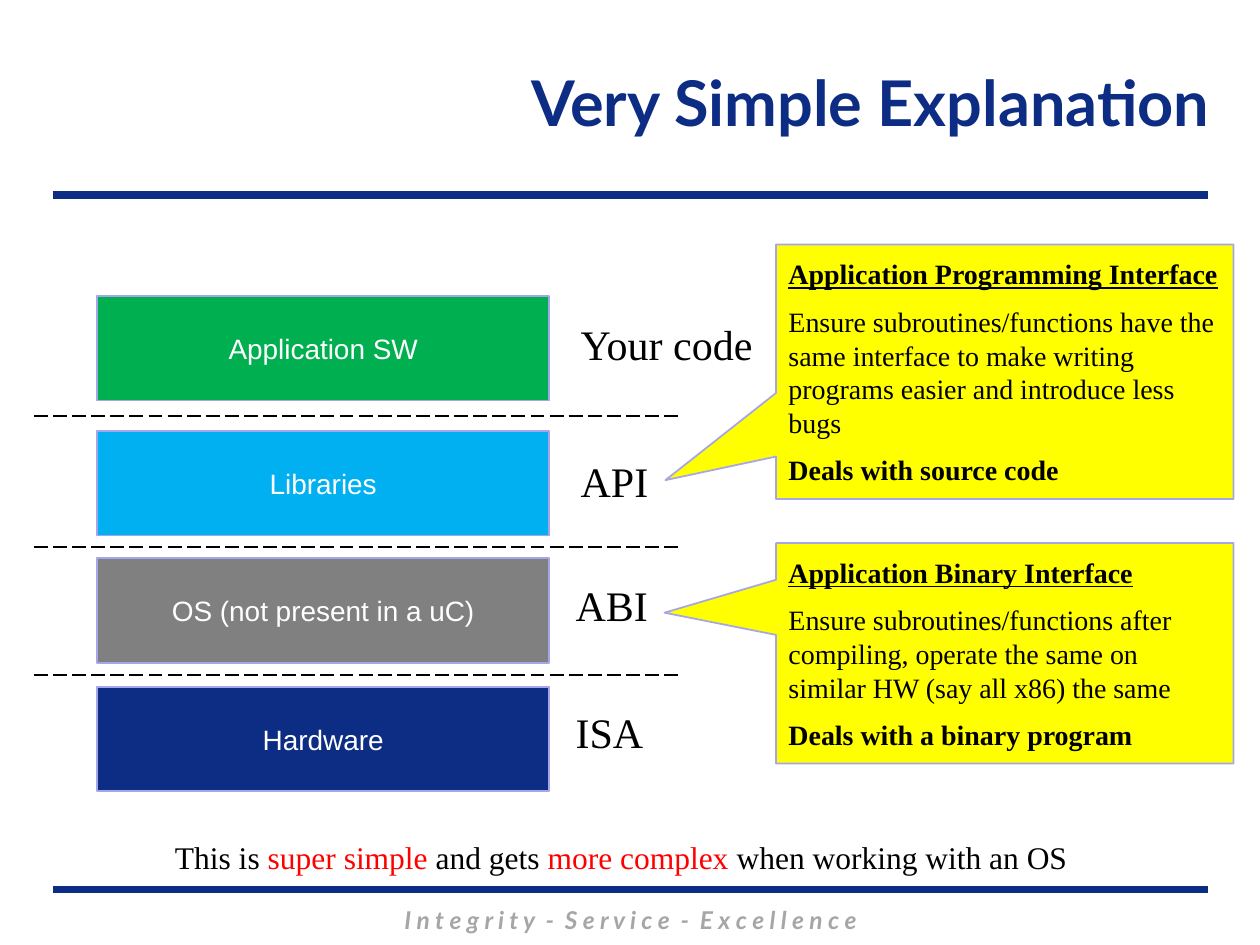
import dataclasses
import itertools

import pptx
import pptx.dml.color
import pptx.enum.dml
import pptx.enum.shapes
import pptx.enum.text
import pptx.oxml
import pptx.util

Inches, Pt = pptx.util.Inches, pptx.util.Pt
Align = pptx.enum.text.PP_ALIGN
Anchor = pptx.enum.text.MSO_ANCHOR
Shape = pptx.enum.shapes.MSO_SHAPE
Dash = pptx.enum.dml.MSO_LINE

COLORS = {
    "navy": "0C2D83", "gray": "808080", "sky": "00B0F0", "green": "00B050",
    "edge": "A5A5E9", "pale": "A6A6A6", "yellow": "FFFF00", "red": "FF0000",
    "black": "000000", "white": "FFFFFF",
}
SERIF, SANS, HEAD = "Times New Roman", "Arial", "Lato"


@dataclasses.dataclass
class Layer:
    name: str
    color: str
    top: float
    label: str
    x: float
    y: float
    wide: float


@dataclasses.dataclass
class Note:
    head: str
    body: str
    end: str
    top: float
    high: float
    tip: tuple[float, float]


LAYERS = [
    Layer("Application SW", "green", 2.35, "Your code", 4.51, 2.48, 1.58),
    Layer("Libraries", "sky", 3.42, "API", 4.51, 3.57, 0.75),
    Layer("OS (not present in a uC)", "gray", 4.43, "ABI", 4.47, 4.55, 0.78),
    Layer("Hardware", "navy", 5.45, "ISA", 4.47, 5.56, 0.75),
]
BAR_X, BAR_W, BAR_H = 0.77, 3.59, 0.83
NOTES = [
    Note("Application Programming Interface",
         "Ensure subroutines/functions have the same interface to make "
         "writing programs easier and introduce less bugs",
         "Deals with source code", 1.94, 2.02, (-0.742, 0.426)),
    Note("Application Binary Interface",
         "Ensure subroutines/functions after compiling, operate the same on "
         "similar HW (say all x86) the same",
         "Deals with a binary program", 4.31, 1.75, (-0.744, -0.184)),
]
CLOSING = [
    ("This is ", "black"), ("super simple ", "red"), ("and gets ", "black"),
    ("more complex ", "red"), ("when working with an OS", "black"),
]


def tint(name: str) -> pptx.dml.color.RGBColor:
    return pptx.dml.color.RGBColor.from_string(COLORS[name])


def write(para, text: str, color: str, **form) -> None:
    """Add a run and apply its font values."""
    run = para.add_run()
    run.text = text
    for key, value in form.items():
        setattr(run.font, key, value)
    run.font.color.rgb = tint(color)


def draw_line(slide, left: float, right: float, y: float, color: str,
              width: float, dash=None) -> None:
    kind = pptx.enum.shapes.MSO_CONNECTOR.STRAIGHT
    line = slide.shapes.add_connector(
        kind, Inches(left), Inches(y), Inches(right), Inches(y))
    line.line.color.rgb = tint(color)
    line.line.width = Pt(width)
    if dash:
        line.line.dash_style = dash
    line._element.spPr.append(pptx.oxml.parse_xml(
        '<a:effectLst xmlns:a="http://schemas.openxmlformats.org/'
        'drawingml/2006/main"/>'))


def draw_shape(slide, kind, box: tuple, color: str):
    shape = slide.shapes.add_shape(kind, *map(Inches, box))
    shape.shadow.inherit = False
    shape.fill.solid()
    shape.fill.fore_color.rgb = tint(color)
    shape.line.color.rgb = tint("edge")
    shape.line.width = Pt(1)
    shape.text_frame.word_wrap = True
    shape.text_frame.vertical_anchor = Anchor.MIDDLE
    return shape


def add_text(slide, box: tuple, wrap: bool = True):
    """Add a text box and return its first paragraph."""
    frame = slide.shapes.add_textbox(*map(Inches, box)).text_frame
    frame.word_wrap = wrap
    frame.auto_size = pptx.enum.text.MSO_AUTO_SIZE.SHAPE_TO_FIT_TEXT
    return frame.paragraphs[0]


def draw_layer(slide, layer: Layer) -> None:
    bar = draw_shape(slide, Shape.RECTANGLE,
                     (BAR_X, layer.top, BAR_W, BAR_H), layer.color)
    para = bar.text_frame.paragraphs[0]
    para.alignment = Align.CENTER
    write(para, layer.name, "white", name=SANS, size=Pt(16))
    para = add_text(slide, (layer.x, layer.y, layer.wide, 0.5), wrap=False)
    write(para, layer.label, "black", name=SERIF, size=Pt(24))


def draw_note(slide, note: Note) -> None:
    call = draw_shape(slide, Shape.RECTANGULAR_CALLOUT,
                      (6.16, note.top, 3.63, note.high), "yellow")
    for i, value in enumerate(note.tip):
        call.adjustments[i] = value
    frame = call.text_frame
    parts = [(note.head, True, True), (note.body, False, False),
             (note.end, True, False)]
    for i, (text, bold, under) in enumerate(parts):
        para = frame.add_paragraph() if i else frame.paragraphs[0]
        para.alignment = Align.LEFT
        if i:
            para.space_before = Pt(8)
        write(para, text, "black", name=SERIF, size=Pt(16),
              bold=bold, underline=under)


def main() -> None:
    deck = pptx.Presentation()
    deck.slide_width, deck.slide_height = Inches(10), Inches(7.5)
    slide = deck.slides.add_slide(deck.slide_layouts[5])

    # Rules and motto
    for y in (7.06, 1.55):
        draw_line(slide, 0.42, 9.59, y, "navy", 4.5)
    para = add_text(slide, (1.42, 7.13, 7.17, 0.34))
    para.alignment = Align.CENTER
    write(para, "I n t e g r i t y  -  S e r v i c e  -  E x c e l l e n c e",
          "pale", name=HEAD, size=Pt(14), bold=True, italic=True)

    # Title
    title = slide.shapes.title
    place = {"left": 2, "top": 0.2, "width": 7.7, "height": 1.2}
    for key, value in place.items():
        setattr(title, key, Inches(value))
    title.text_frame.vertical_anchor = Anchor.MIDDLE
    para = title.text_frame.paragraphs[0]
    para.alignment = Align.RIGHT
    write(para, "Very Simple Explanation", "navy",
          name=HEAD, size=Pt(36), bold=True)

    # Layers, with a dashed line midway in each gap
    for layer in LAYERS:
        draw_layer(slide, layer)
    for upper, lower in itertools.pairwise(LAYERS):
        y = (upper.top + BAR_H + lower.top) / 2
        draw_line(slide, 0.27, 5.39, y, "black", 1, Dash.LONG_DASH)

    # Callouts
    for note in NOTES:
        draw_note(slide, note)

    # Closing remark
    para = add_text(slide, (1.29, 6.6, 8.01, 0.4))
    for text, color in CLOSING:
        write(para, text, color, name=SERIF, size=Pt(18))

    deck.save("out.pptx")


if __name__ == "__main__":
    main()
